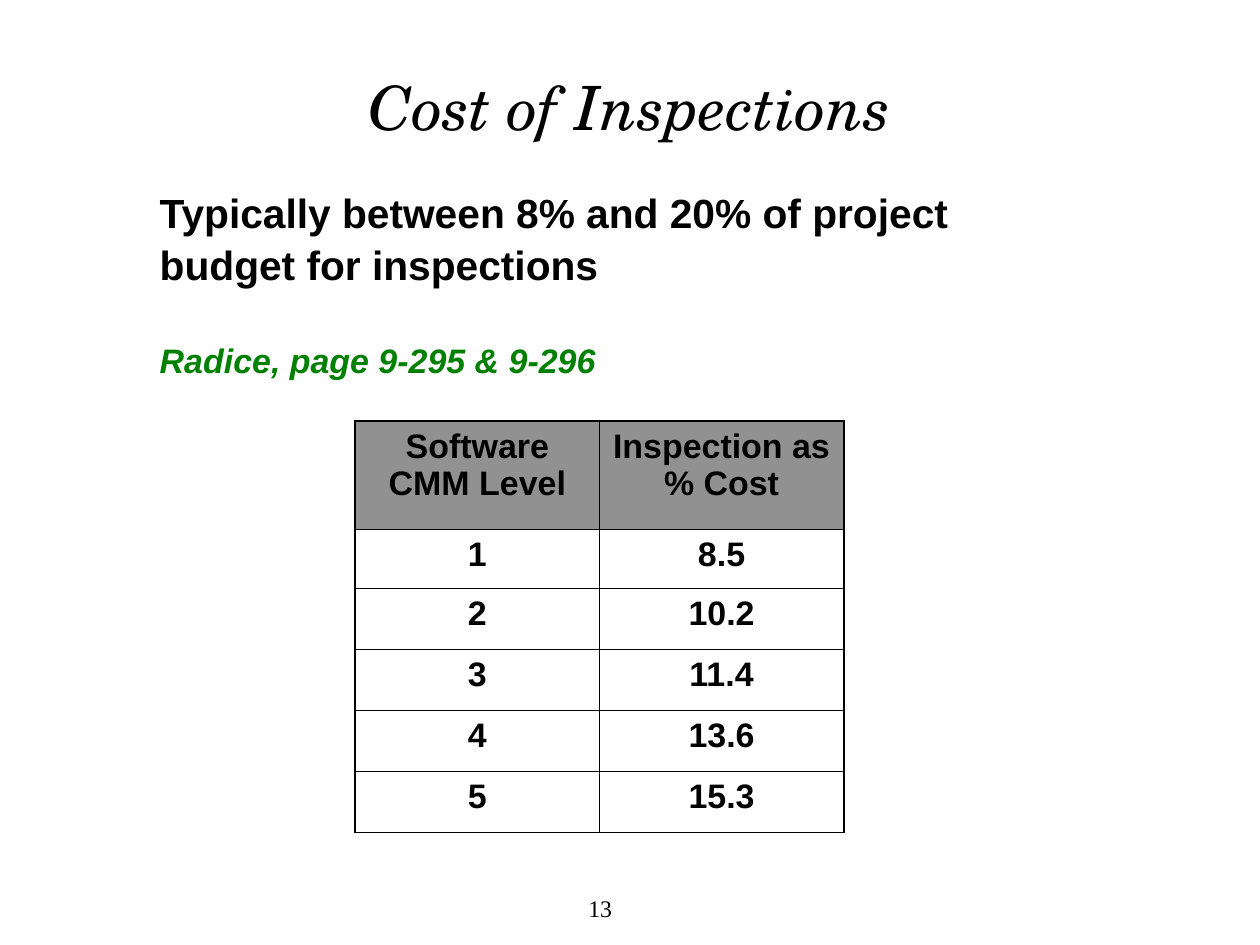
import pptx
import pptx.dml.color
import pptx.enum.text
import pptx.oxml
import pptx.oxml.ns
import pptx.util

Pt = pptx.util.Pt
RGBColor = pptx.dml.color.RGBColor
CENTER = pptx.enum.text.PP_ALIGN.CENTER
LEFT = pptx.enum.text.PP_ALIGN.LEFT
MIDDLE = pptx.enum.text.MSO_ANCHOR.MIDDLE
TOP = pptx.enum.text.MSO_ANCHOR.TOP

BLACK = RGBColor(0x00, 0x00, 0x00)
GREEN = RGBColor(0x00, 0x80, 0x00)
GREY = RGBColor(0x91, 0x91, 0x91)
WHITE = RGBColor(0xFF, 0xFF, 0xFF)

TITLE = "Cost of Inspections"
BUDGET_SHARE = "Typically between 8% and 20% of project budget for inspections"
CITATION = "Radice, page 9-295 & 9-296"
PAGE_NUMBER = "13"
COSTS = [
    ("Software CMM Level", "Inspection as % Cost"),
    ("1", "8.5"),
    ("2", "10.2"),
    ("3", "11.4"),
    ("4", "13.6"),
    ("5", "15.3"),
]

COLUMN_WIDTH = 144
ROW_HEIGHTS = [64, 34.5, 36, 36, 36, 36]
INNER_LINE, OUTER_LINE = 0.45, 1.08


def style(paragraph, font, size, color=BLACK, bold=False, italic=False, align=CENTER):
    paragraph.alignment = align
    for run in paragraph.runs:
        run.font.name = font
        run.font.size = Pt(size)
        run.font.color.rgb = color
        run.font.bold = bold
        run.font.italic = italic


def add_text(slide, box, text, anchor):
    frame = slide.shapes.add_textbox(*(Pt(length) for length in box)).text_frame
    frame.word_wrap = True
    frame.vertical_anchor = anchor
    frame.text = text
    return frame


def set_borders(cell, widths):
    """Draw black cell borders; widths maps L, R, T and B to points."""
    properties = cell._tc.get_or_add_tcPr()
    for position, (side, width) in enumerate(widths.items()):
        properties.insert(position, pptx.oxml.parse_xml(
            f'<a:ln{side} {pptx.oxml.ns.nsdecls("a")} w="{Pt(width)}">'
            f'<a:solidFill><a:srgbClr val="{BLACK}"/></a:solidFill></a:ln{side}>'))


def add_cost_table(slide):
    row_count, column_count = len(COSTS), len(COSTS[0])
    table = slide.shapes.add_table(
        row_count, column_count, Pt(209.5), Pt(248.4),
        Pt(COLUMN_WIDTH * column_count), Pt(sum(ROW_HEIGHTS))).table
    for column in table.columns:
        column.width = Pt(COLUMN_WIDTH)
    for r, (height, values) in enumerate(zip(ROW_HEIGHTS, COSTS)):
        table.rows[r].height = Pt(height)
        for c, value in enumerate(values):
            cell = table.cell(r, c)
            cell.text = value
            style(cell.text_frame.paragraphs[0], "Arial", 20, bold=True)
            cell.fill.solid()
            cell.fill.fore_color.rgb = GREY if r == 0 else WHITE
            on_edge = {"L": c == 0, "R": c == column_count - 1,
                       "T": r == 0, "B": r == row_count - 1}
            set_borders(cell, {side: OUTER_LINE if outer else INNER_LINE
                               for side, outer in on_edge.items()})


def main():
    presentation = pptx.Presentation()
    presentation.slide_width = Pt(743)
    presentation.slide_height = Pt(557.3)
    slide = presentation.slides.add_slide(presentation.slide_layouts[6])

    page = add_text(slide, (275.8, 514.8, 156.2, 41.8), PAGE_NUMBER, MIDDLE)
    style(page.paragraphs[0], "Times New Roman", 14)

    title = add_text(slide, (35.3, 14.4, 671.8, 102.2), TITLE, MIDDLE).paragraphs[0]
    title.line_spacing = 0.9
    style(title, "TeX Gyre Schola", 36, italic=True)

    body = add_text(slide, (87.1, 106, 536.4, 120.8), BUDGET_SHARE, TOP)
    budget_share, citation = body.paragraphs[0], body.add_paragraph()
    citation.text = CITATION
    citation.space_before = Pt(29)
    style(budget_share, "Arial", 24, bold=True, align=LEFT)
    style(citation, "Arial", 20, GREEN, bold=True, italic=True, align=LEFT)
    for paragraph in body.paragraphs:
        paragraph.line_spacing = 1.05

    add_cost_table(slide)
    presentation.save("out.pptx")


if __name__ == "__main__":
    main()
